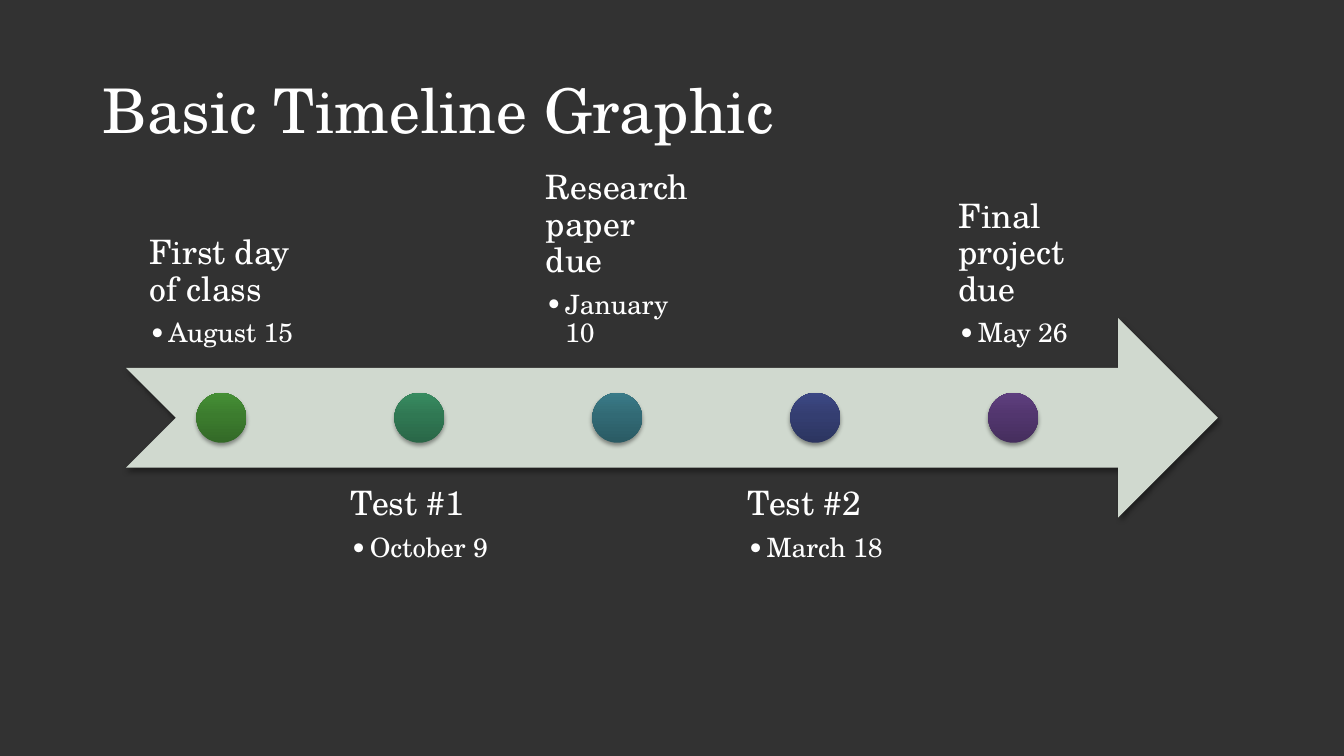
import copy

import lxml.etree
import pptx
import pptx.dml.color
import pptx.enum.shapes
import pptx.enum.text
import pptx.oxml.ns
import pptx.util

Inches = pptx.util.Inches
Pt = pptx.util.Pt
ANCHOR = pptx.enum.text.MSO_ANCHOR
SHAPE = pptx.enum.shapes.MSO_SHAPE
qn = pptx.oxml.ns.qn

FONT = "TeX Gyre Schola"
COLORS = {"background": "323232", "text": "FFFFFF", "arrow": "D0D9CF", "shadow": "000000"}

# Heading, date, and the dot's gradient from bottom to top
MILESTONES = [
    ("First day of class", "August 15", ("336927", "3C7C2E", "459035")),
    ("Test #1", "October 9", ("296647", "307853", "388C61")),
    ("Research paper due", "January 10", ("2A5A63", "326A75", "3A7B88")),
    ("Test #2", "March 18", ("2C3560", "343E71", "3C4884")),
    ("Final project due", "May 26", ("452E5D", "52366E", "5F3F80")),
]
GRADIENT_POSITIONS = (0, 0.55, 1)


def rgb(value):
    """Turn a hex string into a colour."""
    return pptx.dml.color.RGBColor.from_string(value)


def add_element(parent, tag, **attributes):
    """Append a DrawingML element and return it."""
    element = lxml.etree.SubElement(parent, qn(tag))
    for name, value in attributes.items():
        element.set(name, str(value))
    return element


def style_paragraph(paragraph, size):
    """Set the font, colour and line spacing of a paragraph."""
    paragraph.alignment = pptx.enum.text.PP_ALIGN.LEFT
    paragraph.line_spacing = 0.9
    for run in paragraph.runs:
        run.font.name = FONT
        run.font.size = Pt(size)
        run.font.color.rgb = rgb(COLORS["text"])


def add_shadowed_shape(slide, kind, left, top, width, height):
    """Add an outline-free shape with a soft shadow below it."""
    shape = slide.shapes.add_shape(
        kind, Inches(left), Inches(top), Inches(width), Inches(height))
    shape.line.fill.background()
    effects = add_element(shape._element.spPr, "a:effectLst")
    shadow = add_element(effects, "a:outerShdw", blurRad=Pt(3.1), dist=Pt(2),
                         dir=90 * 60000, algn="ctr", rotWithShape=0)
    color = add_element(shadow, "a:srgbClr", val=COLORS["shadow"])
    add_element(color, "a:alpha", val=38000)
    return shape


def fill_gradient(shape, colors):
    """Fill a shape with three colours running upwards."""
    shape.fill.gradient()
    shape.fill.gradient_angle = 90
    stop_list = shape._element.spPr.find(".//" + qn("a:gsLst"))
    stop_list.append(copy.deepcopy(stop_list[-1]))
    for stop, color, position in zip(shape.fill.gradient_stops, colors, GRADIENT_POSITIONS):
        stop.color.rgb = rgb(color)
        stop.position = position


def add_label(slide, left, top, width, height, heading, date, anchor):
    """Add a milestone heading with its bulleted date, centred as a block."""
    text_box = slide.shapes.add_textbox(
        Inches(left), Inches(top), Inches(width), Inches(height))
    frame = text_box.text_frame
    frame.word_wrap = True
    frame.vertical_anchor = anchor
    frame._txBody.bodyPr.set("anchorCtr", "1")
    frame.margin_left = frame.margin_right = Inches(0.19)
    frame.margin_top = frame.margin_bottom = Inches(0.19)
    frame.text = f"{heading}\n{date}"
    for paragraph, size, space in zip(frame.paragraphs, (24, 19), (35, 15)):
        style_paragraph(paragraph, size)
        spacing = add_element(paragraph._p.get_or_add_pPr(), "a:spcAft")
        add_element(spacing, "a:spcPct", val=space * 1000)
    date_paragraph = frame.paragraphs[1]
    date_paragraph.level = 1
    properties = date_paragraph._p.get_or_add_pPr()
    properties.set("marL", str(Inches(0.19)))
    properties.set("indent", str(-Inches(0.19)))
    add_element(properties, "a:buFont", typeface=FONT)
    add_element(properties, "a:buChar", char="•")


def add_title(slide, left, top, width, height, text):
    """Place and format the slide title."""
    title = slide.shapes.title
    title.left, title.top = Inches(left), Inches(top)
    title.width, title.height = Inches(width), Inches(height)
    title.text_frame.text = text
    title.text_frame.vertical_anchor = ANCHOR.MIDDLE
    style_paragraph(title.text_frame.paragraphs[0], 44)


def add_timeline(slide, left, top, width, height):
    """Draw the arrow with dots, and labels alternating above and below."""
    arrow = add_shadowed_shape(slide, SHAPE.NOTCHED_RIGHT_ARROW, left,
                               top + 0.3 * height, width, 0.4 * height)
    arrow.fill.solid()
    arrow.fill.fore_color.rgb = rgb(COLORS["arrow"])

    label_width, label_height, dot_size = 1.87, 0.4 * height, 0.1 * height
    pitch = 1.05 * label_width
    for index, (heading, date, colors) in enumerate(MILESTONES):
        label_left = left + 0.01 + index * pitch
        above = index % 2 == 0
        add_label(slide, label_left, top if above else top + 0.6 * height,
                  label_width, label_height, heading, date,
                  ANCHOR.BOTTOM if above else ANCHOR.TOP)
        dot = add_shadowed_shape(slide, SHAPE.OVAL,
                                 label_left + (label_width - dot_size) / 2,
                                 top + 0.45 * height, dot_size, dot_size)
        fill_gradient(dot, colors)


def build_slide(presentation):
    """Build the timeline slide."""
    slide = presentation.slides.add_slide(presentation.slide_layouts[5])
    slide.background.fill.solid()
    slide.background.fill.fore_color.rgb = rgb(COLORS["background"])
    add_title(slide, 0.92, 0.4, 11.5, 1.45, "Basic Timeline Graphic")
    add_timeline(slide, 1.25, 1.67, 10.83, 4.95)


presentation = pptx.Presentation()
presentation.slide_width = Inches(13.33)
presentation.slide_height = Inches(7.5)
build_slide(presentation)
presentation.save("out.pptx")
